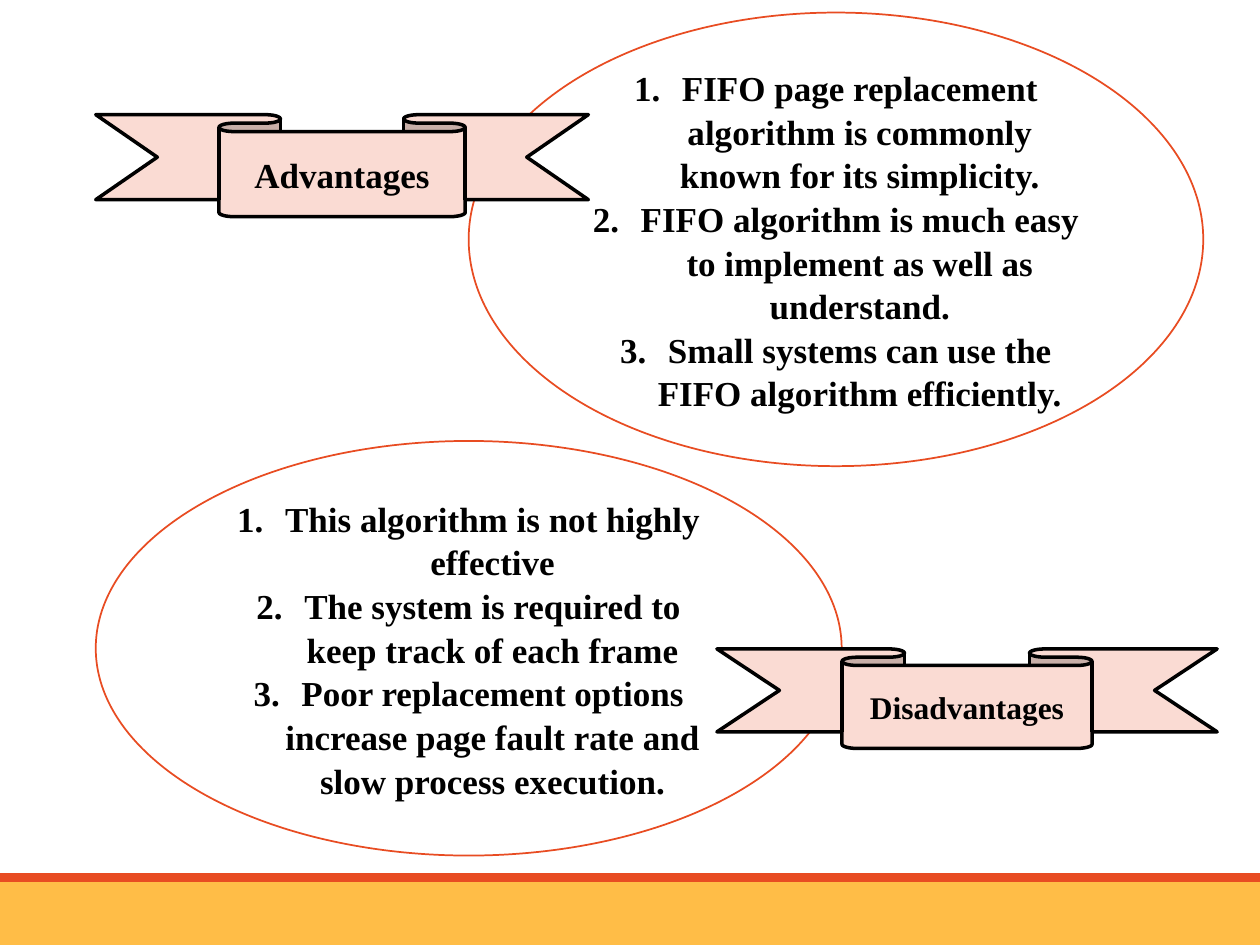
from lxml import etree
from pptx import Presentation
from pptx import util as u
from pptx.dml.color import RGBColor
from pptx.enum import shapes, text
from pptx.oxml.ns import qn

HUES = {"gold": "FFBD47", "red": "E84C22", "pink": "FADBD3",
        "white": "FFFFFF", "black": "000000"}
FONT = "Times New Roman"
KIND = shapes.MSO_SHAPE


def hue(name):
    return RGBColor.from_string(HUES[name])


def write(frame, lines, size=20, color="black", bold=True, listed=False):
    frame.word_wrap = True
    frame.vertical_anchor = text.MSO_ANCHOR.MIDDLE
    for i, line in enumerate(lines):
        para = frame.paragraphs[0] if i == 0 else frame.add_paragraph()
        para.alignment = text.PP_ALIGN.CENTER
        run = para.add_run()
        run.text = line
        run.font.name = FONT
        run.font.size = u.Pt(size)
        run.font.bold = bold
        run.font.color.rgb = hue(color)
        if listed:
            para.line_spacing = 1.04
            props = para._p.get_or_add_pPr()
            indent = u.Inches(0.38)
            props.set("marL", str(indent))
            props.set("indent", str(-indent))
            etree.SubElement(props, qn("a:buFont"), typeface=FONT)
            etree.SubElement(props, qn("a:buAutoNum"), type="arabicPeriod")


class Deck:
    def __init__(self):
        self.file = Presentation()
        self.file.slide_width = u.Inches(10)
        self.file.slide_height = u.Inches(7.5)
        self.slide = self.file.slides.add_slide(self.file.slide_layouts[6])

    def shape(self, kind, box, fill=None, line=None, width=1):
        item = self.slide.shapes.add_shape(kind, *map(u.Inches, box))
        item.shadow.inherit = False
        if fill:
            item.fill.solid()
            item.fill.fore_color.rgb = hue(fill)
        else:
            item.fill.background()
        if line:
            item.line.color.rgb = hue(line)
            item.line.width = u.Pt(width)
        else:
            item.line.fill.background()
        return item

    def band(self, top, height, fill):
        self.shape(KIND.RECTANGLE, (0, top, 10, height), fill)

    def oval(self, box, lines, fill=None):
        item = self.shape(KIND.OVAL, box, fill, "red")
        write(item.text_frame, lines, listed=True)

    def ribbon(self, box, title, size):
        item = self.shape(KIND.DOWN_RIBBON, box, "pink", "black", 2)
        write(item.text_frame, [title], size=size)


def main():
    deck = Deck()
    deck.band(7, 0.5, "gold")
    deck.band(6.93, 0.07, "red")
    deck.oval((3.72, 0.1, 5.83, 3.6), [
        "FIFO page replacement algorithm is commonly known for its simplicity.",
        "FIFO algorithm is much easy to implement as well as understand.",
        "Small systems can use the FIFO algorithm efficiently.",
    ], fill="white")
    deck.oval((0.76, 3.5, 5.92, 3.29), [
        "This algorithm is not highly effective",
        "The system is required to keep track of each frame",
        "Poor replacement options increase page fault rate and slow process execution.",
    ])
    deck.ribbon((5.69, 5.15, 3.97, 0.79), "Disadvantages", 18)
    deck.ribbon((0.76, 0.91, 3.91, 0.81), "Advantages", 20)
    deck.file.save("out.pptx")


if __name__ == "__main__":
    main()
